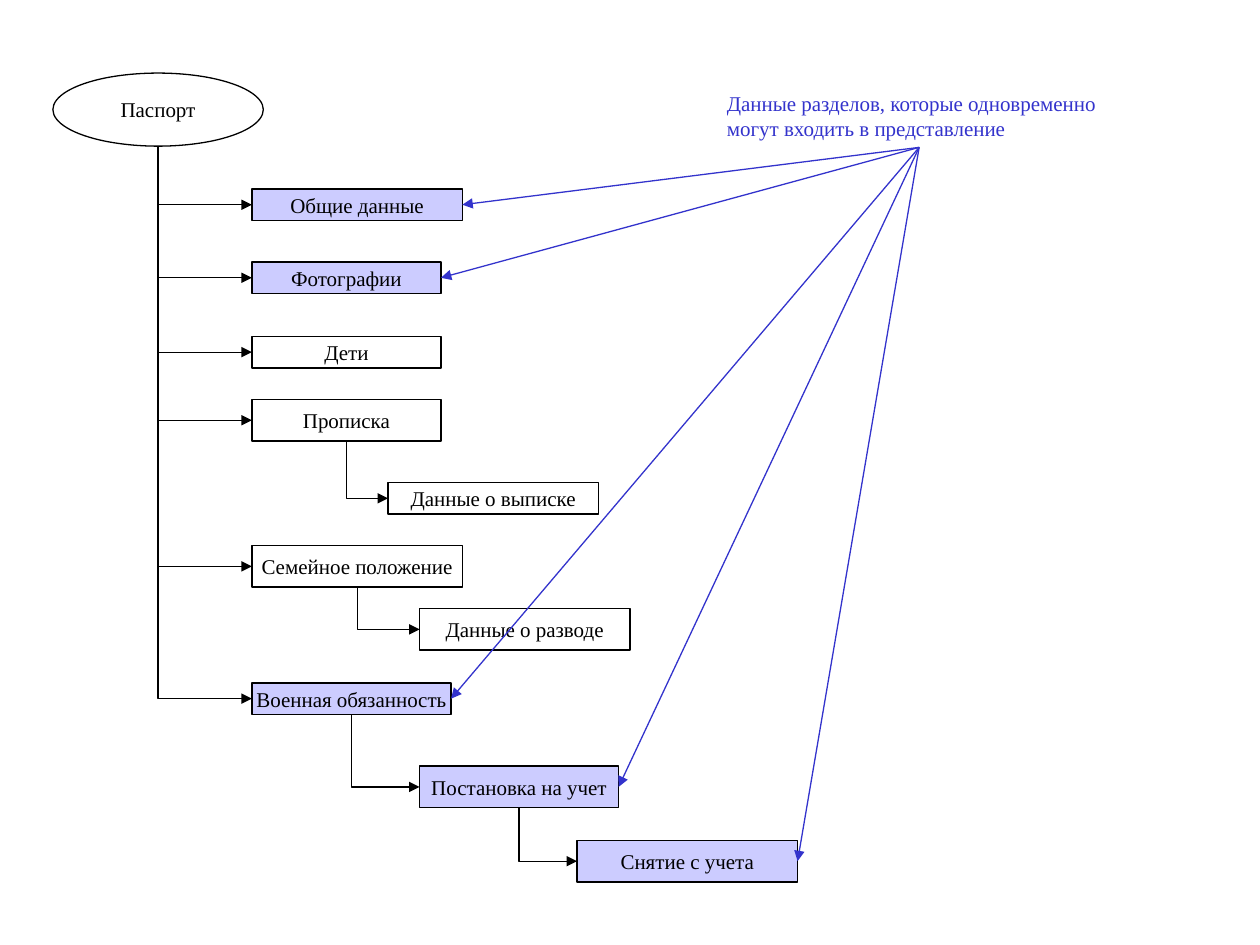
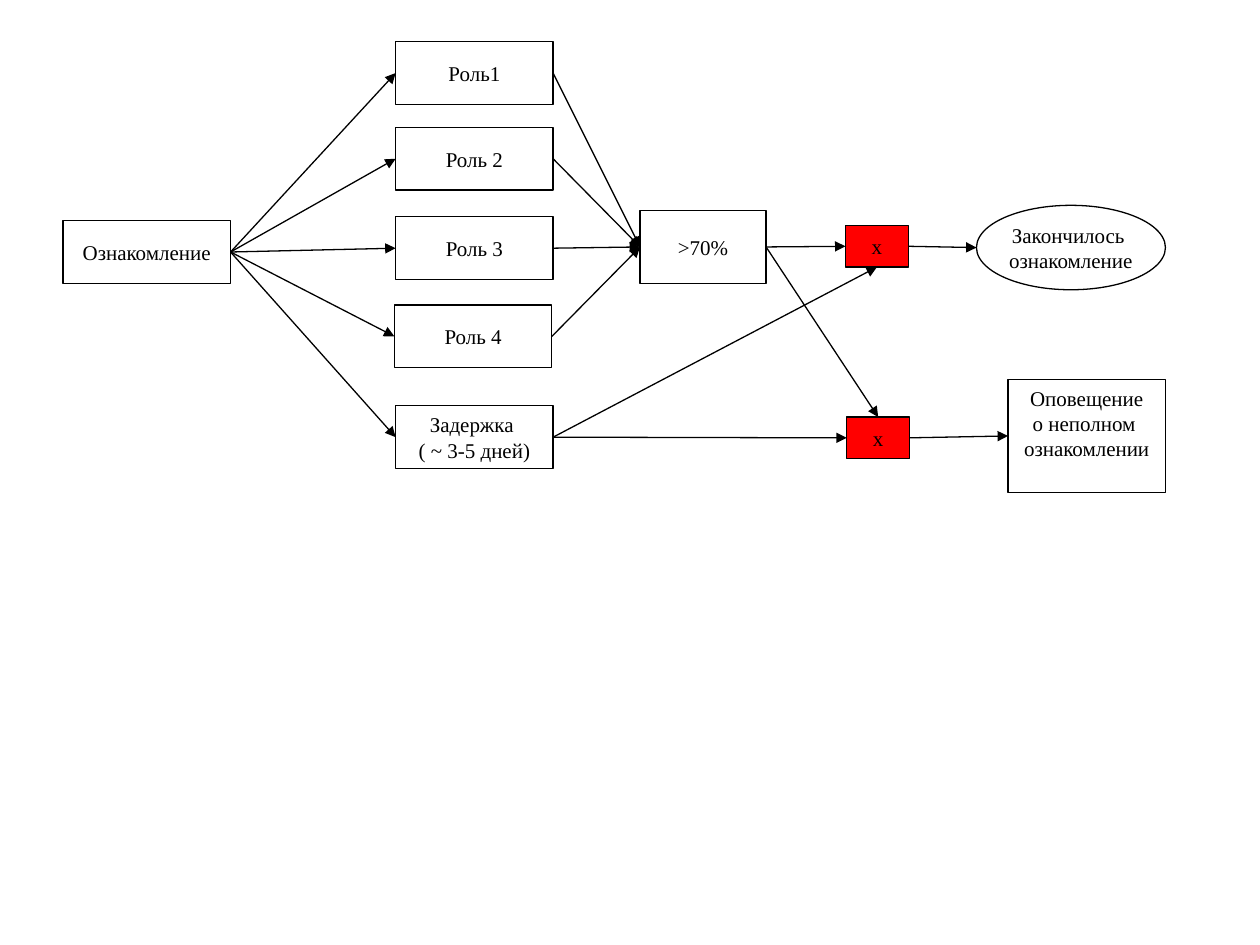
import pptx
import pptx.dml.color
import pptx.enum.shapes
import pptx.enum.text
import pptx.oxml
import pptx.oxml.ns
import pptx.util

Inches = pptx.util.Inches
RGBColor = pptx.dml.color.RGBColor
SHAPE = pptx.enum.shapes.MSO_SHAPE
CONNECTOR = pptx.enum.shapes.MSO_CONNECTOR

COLORS = {
    "white": "FFFFFF",
    "black": "000000",
    "lilac": "CCCCFF",
    "blue": "3333CC",
    "red": "FF0000",
}
LINE_WIDTH = pptx.util.Pt(0.75)
FONT_FORMAT = {"name": "Times New Roman", "size": pptx.util.Pt(12)}
NODE_TEXT_FORMAT = {
    "word_wrap": False,
    "vertical_anchor": pptx.enum.text.MSO_ANCHOR.MIDDLE,
}
# Side number: share of width and height at which the side's middle lies
SIDES = {0: (0.5, 0), 1: (0, 0.5), 2: (0.5, 1), 3: (1, 0.5)}
TOP, LEFT, BOTTOM, RIGHT = SIDES


def add_node(slide, text, left, top, width, height, fill="white", kind=SHAPE.RECTANGLE):
    box = slide.shapes.add_shape(kind, Inches(left), Inches(top), Inches(width), Inches(height))
    box.shadow.inherit = False
    box.fill.solid()
    box.fill.fore_color.rgb = RGBColor.from_string(COLORS[fill])
    box.line.color.rgb = RGBColor.from_string(COLORS["black"])
    box.line.width = LINE_WIDTH
    frame = box.text_frame
    for attribute, value in NODE_TEXT_FORMAT.items():
        setattr(frame, attribute, value)
    frame.text = text
    for para in frame.paragraphs:
        para.alignment = pptx.enum.text.PP_ALIGN.CENTER
        para.font.color.rgb = RGBColor.from_string(COLORS["black"])
        for attribute, value in FONT_FORMAT.items():
            setattr(para.font, attribute, value)
    return box


def add_arrow(slide, start, start_side, end, end_side, color="black", bent=False):
    """Draw an arrow between two sides; a bent one goes down, then right."""
    (x1, y1), (x2, y2) = [
        (int(box.left + box.width * SIDES[side][0]), int(box.top + box.height * SIDES[side][1]))
        for box, side in ((start, start_side), (end, end_side))
    ]
    kind = CONNECTOR.ELBOW if bent else CONNECTOR.STRAIGHT
    arrow = slide.shapes.add_connector(kind, x1, y1, x2, y2)
    # Ellipses number their connection sites differently, so their ends stay free
    if not start.name.startswith("Oval"):
        arrow.begin_connect(start, start_side)
    if not end.name.startswith("Oval"):
        arrow.end_connect(end, end_side)
    properties = arrow._element.spPr
    if bent:
        run, drop = x2 - x1, y2 - y1
        arrow.left, arrow.top = (x1 + x2 - drop) // 2, (y1 + y2 - run) // 2
        arrow.width, arrow.height = drop, run
        transform = properties.find(pptx.oxml.ns.qn("a:xfrm"))
        transform.set("rot", "16200000")
        transform.set("flipH", "1")
        properties.find(pptx.oxml.ns.qn("a:prstGeom")).set("prst", "bentConnector2")
    arrow.line.color.rgb = RGBColor.from_string(COLORS[color])
    arrow.line.width = LINE_WIDTH
    namespace = pptx.oxml.ns.nsdecls("a")
    outline = properties.find(pptx.oxml.ns.qn("a:ln"))
    outline.append(pptx.oxml.parse_xml(f'<a:tailEnd {namespace} type="triangle"/>'))
    properties.append(pptx.oxml.parse_xml(f"<a:effectLst {namespace}/>"))


deck = pptx.Presentation()
deck.slide_width, deck.slide_height = Inches(10), Inches(7.5)
blank_layout = deck.slide_layouts[6]

# Slide 1: sections of the passport
page = deck.slides.add_slide(blank_layout)
passport = add_node(page, "Паспорт", 0.42, 0.58, 1.67, 0.58, kind=SHAPE.OVAL)

# Parent (None for the passport itself), name, left, top, width, height, fill
sections = [
    (None, "Общие данные", 2, 1.5, 1.67, 0.25, "lilac"),
    (None, "Фотографии", 2, 2.08, 1.5, 0.25, "lilac"),
    (None, "Дети", 2, 2.67, 1.5, 0.25, "white"),
    (None, "Прописка", 2, 3.17, 1.5, 0.33, "white"),
    (None, "Семейное положение", 2, 4.33, 1.67, 0.33, "white"),
    (None, "Военная обязанность", 2, 5.42, 1.58, 0.25, "lilac"),
    ("Прописка", "Данные о выписке", 3.08, 3.83, 1.67, 0.25, "white"),
    ("Семейное положение", "Данные о разводе", 3.33, 4.83, 1.67, 0.33, "white"),
    ("Военная обязанность", "Постановка на учет", 3.33, 6.08, 1.58, 0.33, "lilac"),
    ("Постановка на учет", "Снятие с учета", 4.58, 6.67, 1.75, 0.33, "lilac"),
]
section_boxes = {None: passport}
for parent, name, *place, fill in sections:
    section_boxes[name] = add_node(page, name, *place, fill)
    add_arrow(page, section_boxes[parent], BOTTOM, section_boxes[name], LEFT, bent=True)

note = page.shapes.add_textbox(Inches(5.67), Inches(0.67), Inches(3.25), Inches(0.5))
note.text_frame.word_wrap = True
note.text_frame.text = "Данные разделов, которые одновременно могут входить в представление"
note_font = note.text_frame.paragraphs[0].font
note_font.color.rgb = RGBColor.from_string(COLORS["blue"])
for attribute, value in FONT_FORMAT.items():
    setattr(note_font, attribute, value)
for parent, name, *place, fill in sections:
    if fill == "lilac":
        add_arrow(page, note, BOTTOM, section_boxes[name], RIGHT, "blue")

# Slide 2: review by roles
page = deck.slides.add_slide(blank_layout)
review = add_node(page, "Ознакомление", 0.5, 1.75, 1.33, 0.5, kind=SHAPE.FLOWCHART_PROCESS)
threshold = add_node(page, ">70%", 5.08, 1.67, 1, 0.58)
roles = [
    add_node(page, name, left, top, 1.25, 0.5)
    for name, left, top in [
        ("Роль1", 3.14, 0.33),
        ("Роль 2", 3.14, 1.01),
        ("Роль 3", 3.14, 1.72),
        ("Роль 4", 3.13, 2.42),
    ]
]
delay = add_node(page, "Задержка \n( ~ 3-5 дней)", 3.14, 3.22, 1.25, 0.5)
done_gate = add_node(page, "x", 6.71, 1.79, 0.5, 0.33, "red")
alert_gate = add_node(page, "x", 6.72, 3.31, 0.5, 0.33, "red")
done = add_node(page, "Закончилось \nознакомление", 7.75, 1.63, 1.5, 0.67, kind=SHAPE.OVAL)
alert = add_node(page, "Оповещение\nо неполном \nознакомлении", 8, 3.01, 1.25, 0.9)
alert.text_frame.margin_bottom = Inches(0.25)

for role in roles:
    add_arrow(page, review, RIGHT, role, LEFT)
    add_arrow(page, role, RIGHT, threshold, LEFT)
for start, end, end_side in [
    (review, delay, LEFT),
    (delay, done_gate, BOTTOM),
    (delay, alert_gate, LEFT),
    (threshold, done_gate, LEFT),
    (threshold, alert_gate, TOP),
    (done_gate, done, LEFT),
    (alert_gate, alert, LEFT),
]:
    add_arrow(page, start, RIGHT, end, end_side)

deck.save("out.pptx")
